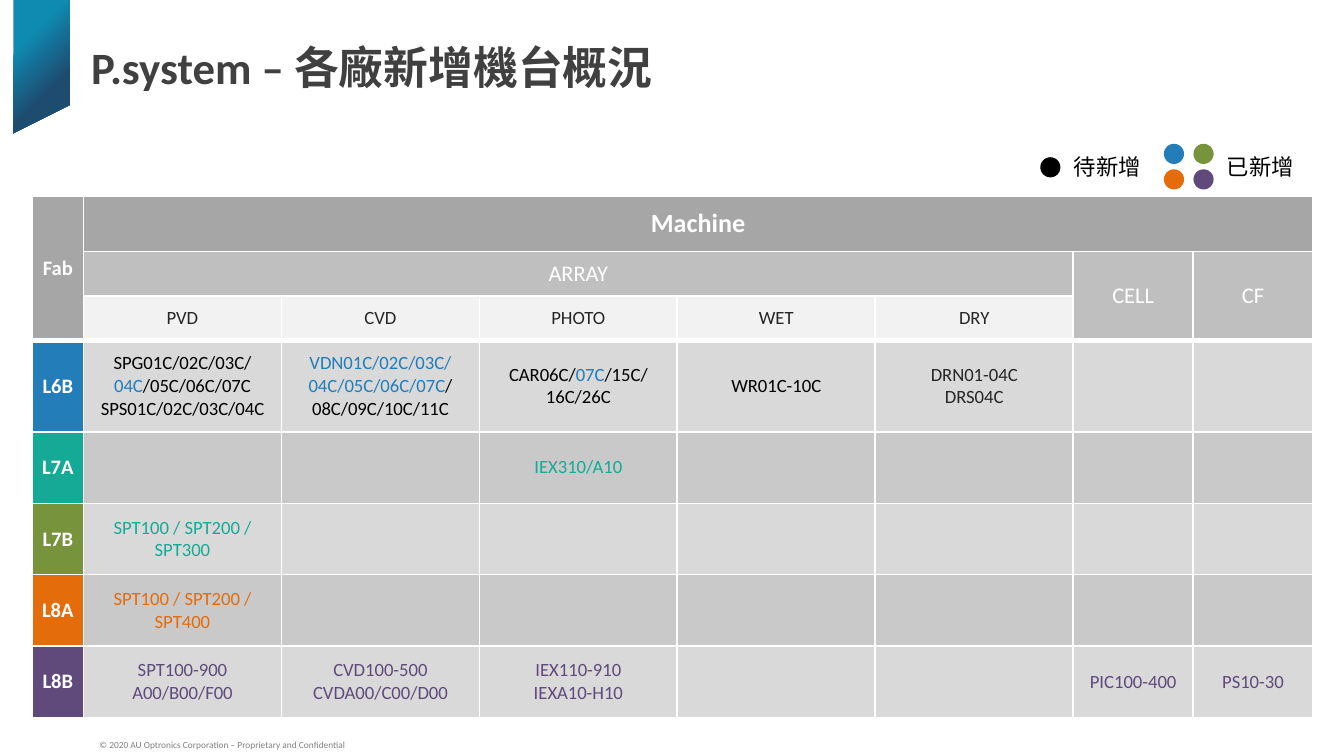
from pptx import Presentation
from pptx.dml.color import RGBColor
from pptx.enum.shapes import MSO_SHAPE
from pptx.enum.text import MSO_ANCHOR, PP_ALIGN
from pptx.oxml.ns import qn
from pptx.util import Inches, Pt
from lxml import etree

OVAL = MSO_SHAPE.OVAL
TOP, MIDDLE, BOTTOM = MSO_ANCHOR.TOP, MSO_ANCHOR.MIDDLE, MSO_ANCHOR.BOTTOM
LEFT, CENTER = PP_ALIGN.LEFT, PP_ALIGN.CENTER

# Slide size, 16:9
WIDTH = 10
HEIGHT = WIDTH * 9 / 16

# Colours
WHITE, BLACK, INK = "FFFFFF", "000000", "262626"
BLUE, TEAL, GREEN, ORANGE, PURPLE = "237DB9", "15AA96", "77933C", "E46C0A", "604A7B"
HEAD, SUBHEAD, STEP = "A6A6A6", "BFBFBF", "F2F2F2"
BANDS = ("D9D9D9", "C9C9C9")

# Content
TITLE = "P.system – 各廠新增機台概況"
FOOTER = "© 2020 AU Optronics Corporation – Proprietary and Confidential"
LEGEND = [("待新增", 7.89), ("已新增", 9.03)]
DOTS = [(7.74, 1.17, BLACK), (8.66, 1.07, BLUE), (8.88, 1.07, GREEN),
        (8.66, 1.26, ORANGE), (8.88, 1.26, PURPLE)]
RIBBON = [(10, 99), (52, 78), (52, -9), (10, -9)]  # hundredths of an inch

# Header cells: text, row, column, rows spanned, columns spanned, fill, font
HEADERS = [
    ("Fab", 0, 0, 3, 1, HEAD, {"size": 11, "color": WHITE, "bold": True}),
    ("Machine", 0, 1, 1, 7, HEAD, {"size": 14, "color": WHITE, "bold": True}),
    ("ARRAY", 1, 1, 1, 5, SUBHEAD, {"size": 12, "color": WHITE}),
    ("CELL", 1, 6, 2, 1, SUBHEAD, {"size": 12, "color": WHITE}),
    ("CF", 1, 7, 2, 1, SUBHEAD, {"size": 12, "color": WHITE}),
] + [(step, 2, col, 1, 1, STEP, {"size": 10, "color": INK})
     for col, step in enumerate(("PVD", "CVD", "PHOTO", "WET", "DRY"), 1)]

# Fabs: name, colour, {column: paragraphs}; a run is text or (text, colour)
FABS = [
    ("L6B", BLUE, {
        1: [[("SPG01C/02C/03C/", BLACK)],
            ["04C", ("/05C/06C/07C", BLACK)],
            [("SPS01C/02C/03C/04C", BLACK)]],
        2: [["VDN01C/02C/03C/04C/05C/06C/07C", ("/08C/09C/10C/11C", BLACK)]],
        3: [[("CAR06C/", BLACK), "07C", ("/15C/", BLACK)], [("16C/26C", BLACK)]],
        4: [[("WR01C-10C", BLACK)]],
        5: [[("DRN01-04C", INK)], [("DRS04C", INK)]]}),
    ("L7A", TEAL, {3: [["IEX310/A10"]]}),
    ("L7B", GREEN, {1: [[("SPT100 / SPT200 / SPT300", TEAL)]]}),
    ("L8A", ORANGE, {1: [["SPT100 / SPT200 / SPT400"]]}),
    ("L8B", PURPLE, {
        1: [["SPT100-900"], ["A00/B00/F00"]],
        2: [["CVD100-500"], ["CVDA00/C00/D00"]],
        3: [["IEX110-910"], ["IEXA10-H10"]],
        6: [["PIC100-400"]],
        7: [["PS10-30"]]}),
]
HEADER_ROWS = 3
TABLE_BOX = (0.24, 1.46, 9.53, 3.88)
COLUMN_SHARES = [0.38] + [1.47] * 5 + [0.89] * 2
ROW_SHARES = [0.41, 0.33, 0.33, 0.68] + [0.53] * 4


def rgb(value):
    return RGBColor.from_string(value)


def split(total, shares):
    return [Inches(total * share / sum(shares)) for share in shares]


def write(frame, paragraphs, size, color, bold=False, align=LEFT):
    for index, runs in enumerate(paragraphs):
        line = frame.paragraphs[0] if index == 0 else frame.add_paragraph()
        line.alignment = align
        for part in runs:
            words, shade = (part, color) if isinstance(part, str) else part
            run = line.add_run()
            run.text = words
            for key, value in {"name": "Calibri", "size": Pt(size), "bold": bold}.items():
                setattr(run.font, key, value)
            run.font.color.rgb = rgb(shade)


def add_text(slide, words, box, size, color, bold=False, anchor=TOP, wrap=True, inset=0.1):
    frame = slide.shapes.add_textbox(*map(Inches, box)).text_frame
    layout = {"word_wrap": wrap, "vertical_anchor": anchor,
              "margin_left": Inches(inset), "margin_right": Inches(inset)}
    for key, value in layout.items():
        setattr(frame, key, value)
    write(frame, [[words]], size, color, bold)
    return frame


def add_borders(cell, row):
    """White grid lines, thicker between the header and the fabs."""
    thick = {"T": row == HEADER_ROWS, "B": row == HEADER_ROWS - 1}
    properties = cell._tc.get_or_add_tcPr()
    for side in "LRTB":
        width = Pt(3 if thick.get(side) else 1)
        line = etree.SubElement(properties, qn("a:ln" + side), w=str(width))
        fill = etree.SubElement(line, qn("a:solidFill"))
        etree.SubElement(fill, qn("a:srgbClr"), val=WHITE)


def fill_cell(cell, color):
    cell.fill.solid()
    cell.fill.fore_color.rgb = rgb(color)


def add_ribbon(slide):
    builder = slide.shapes.build_freeform(*RIBBON[0], scale=Inches(0.01))
    builder.add_line_segments(RIBBON[1:], close=True)
    ribbon = builder.convert_to_shape()
    ribbon.shadow.inherit = False
    ribbon.line.fill.background()
    ribbon.fill.gradient()
    ribbon.fill.gradient_angle = 315
    for stop, (place, color) in zip(ribbon.fill.gradient_stops,
                                    [(0.32, "0F8AB1"), (0.7, "1E4B70")]):
        stop.position = place
        stop.color.rgb = rgb(color)


def add_machine_table(slide):
    table = slide.shapes.add_table(
        len(ROW_SHARES), len(COLUMN_SHARES), *map(Inches, TABLE_BOX)).table
    for column, width in zip(table.columns, split(TABLE_BOX[2], COLUMN_SHARES)):
        column.width = width
    for row, height in zip(table.rows, split(TABLE_BOX[3], ROW_SHARES)):
        row.height = height

    # Grid lines and cell layout
    for r in range(len(ROW_SHARES)):
        for c in range(len(COLUMN_SHARES)):
            cell = table.cell(r, c)
            add_borders(cell, r)
            cell.vertical_anchor = MIDDLE
            for side in ("left", "right", "top", "bottom"):
                setattr(cell, "margin_" + side, Inches(0.05))

    # Header
    for words, r, c, tall, wide, color, font in HEADERS:
        for y in range(r, r + tall):
            for x in range(c, c + wide):
                fill_cell(table.cell(y, x), color)
        cell = table.cell(r, c)
        if tall * wide > 1:
            cell.merge(table.cell(r + tall - 1, c + wide - 1))
        write(cell.text_frame, [[words]], align=CENTER, **font)

    # One row per fab
    for index, (fab, color, machines) in enumerate(FABS):
        r = HEADER_ROWS + index
        fab_cell = table.cell(r, 0)
        fill_cell(fab_cell, color)
        write(fab_cell.text_frame, [[fab]], 11, WHITE, True, CENTER)
        for c in range(1, len(COLUMN_SHARES)):
            cell = table.cell(r, c)
            fill_cell(cell, BANDS[index % 2])
            write(cell.text_frame, machines.get(c, []), 10, color, align=CENTER)


def main():
    deck = Presentation()
    deck.slide_width, deck.slide_height = Inches(WIDTH), Inches(HEIGHT)
    slide = deck.slides.add_slide(deck.slide_layouts[6])

    # Ribbon, footer and title
    add_ribbon(slide)
    footer = add_text(slide, FOOTER, (0.66, 5.45, 3.75, 0.18), 5, "808080",
                      anchor=BOTTOM, inset=0.08)
    footer.paragraphs[0].line_spacing = 0.8
    add_text(slide, TITLE, (0.58, 0.25, 8.06, 0.53), 24, "404040", bold=True)

    add_machine_table(slide)

    # Legend
    for x, y, color in DOTS:
        dot = slide.shapes.add_shape(OVAL, *map(Inches, (x, y, 0.15, 0.15)))
        dot.shadow.inherit = False
        dot.fill.solid()
        dot.fill.fore_color.rgb = rgb(color)
        dot.line.fill.background()
    for words, x in LEGEND:
        add_text(slide, words, (x, 1.09, 0.71, 0.3), 12, BLACK, wrap=False)

    deck.save("out.pptx")


if __name__ == "__main__":
    main()
